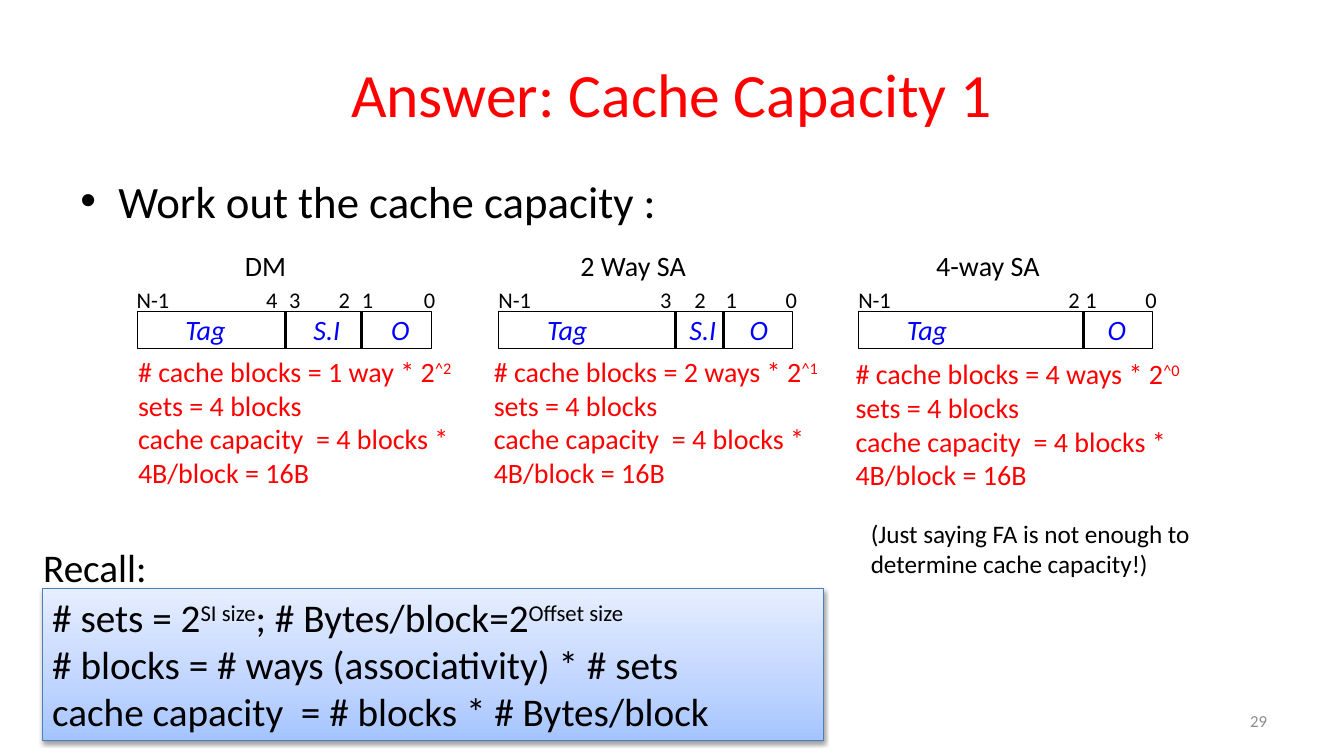
from copy import deepcopy
from dataclasses import dataclass

from lxml import etree
from pptx import Presentation
from pptx.dml.color import RGBColor
from pptx.enum.shapes import MSO_CONNECTOR, MSO_SHAPE
from pptx.enum.text import MSO_ANCHOR, MSO_AUTO_SIZE, PP_ALIGN
from pptx.oxml.ns import qn
from pptx.util import Pt

RECT, STRAIGHT = MSO_SHAPE.RECTANGLE, MSO_CONNECTOR.STRAIGHT
TOP, MIDDLE = MSO_ANCHOR.TOP, MSO_ANCHOR.MIDDLE
LEFT, CENTER, RIGHT = PP_ALIGN.LEFT, PP_ALIGN.CENTER, PP_ALIGN.RIGHT
GROW = MSO_AUTO_SIZE.SHAPE_TO_FIT_TEXT

FONT = "Calibri"
BLACK, RED, BLUE, GREY = "000000", "FF0000", "0000FF", "8C8C8C"
BAR_TOP, BAR_W, BAR_H = 222.5, 210, 26.6
BIT_TOP, FIELD_TOP, HEADING_TOP = 200.9, 219.8, 174.2
BIT_W, RANGE_W, TAG_W, INDEX_W, OFFSET_W = 23, 38.2, 43.2, 33.8, 28.1

Paragraphs = list[list[tuple[str, bool]]]


@dataclass(frozen=True)
class Label:
    text: str
    x: float
    w: float = BIT_W


@dataclass(frozen=True)
class Cache:
    heading: Label
    left: float
    dividers: list[float]
    bits: list[Label]
    fields: list[Label]
    ways: str
    index_bits: int
    answer_x: float
    answer_top: float


CACHES = [
    Cache(Label("DM", 69.8, 66.2), 98, [160, 105.8],
          [Label("1", 153.4), Label("2", 136.8), Label("3", 101.5), Label("4", 85)],
          [Label("S.I", 118.8, INDEX_W), Label("O", 174.2, OFFSET_W)],
          "1 way", 2, -42.5, 249.8),
    Cache(Label("2 Way SA", 51.1, 90.7), 356.4, [160.6, 126],
          [Label("1", 154.8), Label("2", 132.5), Label("3", 108)],
          [Label("S.I", 129, INDEX_W), Label("O", 172, OFFSET_W)],
          "2 ways", 1, -46.8, 249.8),
    Cache(Label("4-way SA", 48.3, 89.3), 613.4, [160.6],
          [Label("1", 154.8), Label("2", 142.6)],
          [Label("O", 170.6, OFFSET_W)],
          "4 ways", 0, -45.4, 251.3),
]

RECALL: Paragraphs = [
    [("# sets = 2", False), ("SI size", True),
     ("; # Bytes/block=2", False), ("Offset size", True)],
    [("# blocks = # ways (associativity) * # sets", False)],
    [("cache capacity  = # blocks * # Bytes/block", False)],
]


def rgb(value: str) -> RGBColor:
    return RGBColor.from_string(value)


def plain(text: str) -> Paragraphs:
    return [[(text, False)]]


def write(sp, paragraphs: Paragraphs, size: float, color: str = BLACK,
          italic: bool = False, align=LEFT, anchor=TOP, wrap: bool = True,
          indent: float = 0, bullet: str = "", hanging: float = 0) -> None:
    tf = sp.text_frame
    frame = {"word_wrap": wrap, "vertical_anchor": anchor, "auto_size": GROW}
    if anchor == MIDDLE:
        frame["auto_size"] = MSO_AUTO_SIZE.NONE
    for name, value in frame.items():
        setattr(tf, name, value)
    for i, runs in enumerate(paragraphs):
        p = tf.add_paragraph() if i else tf.paragraphs[0]
        p.alignment = align
        pPr = p._p.get_or_add_pPr()
        if indent:
            pPr.set("marL", str(Pt(indent)))
            pPr.set("indent", str(-Pt(hanging)))
        if bullet:
            etree.SubElement(pPr, qn("a:buFont")).set("typeface", "Arial")
            etree.SubElement(pPr, qn("a:buChar")).set("char", bullet)
        for text, raised in runs:
            r = p.add_run()
            r.text = text
            for name, value in {"name": FONT, "size": Pt(size), "italic": italic}.items():
                setattr(r.font, name, value)
            r.font.color.rgb = rgb(color)
            if raised:
                r._r.get_or_add_rPr().set("baseline", "30000")


def add_text(s, x: float, y: float, w: float, h: float,
             paragraphs: Paragraphs, size: float, **style) -> None:
    sp = s.shapes.add_textbox(Pt(x), Pt(y), Pt(w), Pt(h))
    write(sp, paragraphs, size, **style)


def add_rect(s, x: float, y: float, w: float, h: float, line: str):
    sp = s.shapes.add_shape(RECT, Pt(x), Pt(y), Pt(w), Pt(h))
    sp.shadow.inherit = False
    sp.fill.background()
    sp.line.color.rgb = rgb(line)
    sp.line.width = Pt(0.75)
    return sp


def add_divider(s, x: float) -> None:
    line = s.shapes.add_connector(STRAIGHT, Pt(x), Pt(BAR_TOP), Pt(x), Pt(BAR_TOP + BAR_H))
    line.line.color.rgb = rgb(BLACK)
    line.line.width = Pt(2)
    etree.SubElement(line._element.spPr, qn("a:effectLst"))


def add_cache(s, cache: Cache) -> None:
    add_rect(s, cache.left, BAR_TOP, BAR_W, BAR_H, BLACK)
    for x in cache.dividers:
        add_divider(s, cache.left + x)
    bits = [Label("N-1", -7.4, RANGE_W), *cache.bits, Label("0", 197.6)]
    fields = [Label("Tag", 27.4, TAG_W), *cache.fields]
    for bit in bits:
        add_text(s, cache.left + bit.x, BIT_TOP, bit.w, 26.6,
                 plain(bit.text), 16, wrap=False)
    for field in fields:
        add_text(s, cache.left + field.x, FIELD_TOP, field.w, 31.7,
                 plain(field.text), 20, color=BLUE, italic=True, wrap=False)
    heading = cache.heading
    add_text(s, cache.left + heading.x, HEADING_TOP, heading.w, 31.7,
             plain(heading.text), 20)
    answer = [
        [(f"# cache blocks = {cache.ways} * 2", False),
         (f"^{cache.index_bits} ", True), ("sets = 4 blocks", False)],
        [("cache capacity  = 4 blocks * 4B/block = 16B", False)],
    ]
    add_text(s, cache.left + cache.answer_x, cache.answer_top, 293.8, 104.4,
             answer, 20, color=RED, indent=36)


def add_recall(s) -> None:
    sp = add_rect(s, 30.2, 420.5, 558, 108.7, "4B7EBC")
    sp.fill.gradient()
    sp.fill.gradient_angle = 90
    spPr = sp._element.spPr
    stops = spPr.find(qn("a:gradFill")).find(qn("a:gsLst"))
    stops.insert(1, deepcopy(stops[0]))
    colors = [(0, "A4C4FF"), (0.35, "BFD4FF"), (1, "E6EEFF")]
    for stop, (position, color) in zip(sp.fill.gradient_stops, colors):
        stop.position = position
        stop.color.rgb = rgb(color)
    shadow = etree.SubElement(spPr.find(qn("a:effectLst")), qn("a:outerShdw"))
    values = {"blurRad": Pt(3.1), "dist": Pt(1.6), "dir": 5400000, "rotWithShape": 0}
    for name, value in values.items():
        shadow.set(name, str(value))
    tint = etree.SubElement(shadow, qn("a:srgbClr"))
    tint.set("val", BLACK)
    etree.SubElement(tint, qn("a:alpha")).set("val", "38000")
    write(sp, RECALL, 28)
    add_text(s, 23.8, 384.5, 89.3, 41, plain("Recall:"), 28, wrap=False)


def main() -> None:
    prs = Presentation()
    prs.slide_width, prs.slide_height = Pt(960), Pt(540)
    s = prs.slides.add_slide(prs.slide_layouts[5])
    title = s.shapes.title
    place = {"left": 48, "top": 21.6, "width": 864, "height": 90}
    for name, value in place.items():
        setattr(title, name, Pt(value))
    write(title, plain("Answer: Cache Capacity 1"), 44, color=RED,
          align=CENTER, anchor=MIDDLE)
    add_text(s, 50.4, 120.2, 864, 46.3, plain("Work out the cache capacity :"), 32,
             indent=27, hanging=27, bullet="•")
    for cache in CACHES:
        add_cache(s, cache)
    add_recall(s)
    add_text(s, 614.9, 366.5, 258.5, 51.1,
             plain("(Just saying FA is not enough to determine cache capacity!)"), 18)
    add_text(s, 688.3, 500.4, 224, 28.8, plain("29"), 12, color=GREY,
             align=RIGHT, anchor=MIDDLE)
    prs.save("out.pptx")


if __name__ == "__main__":
    main()
